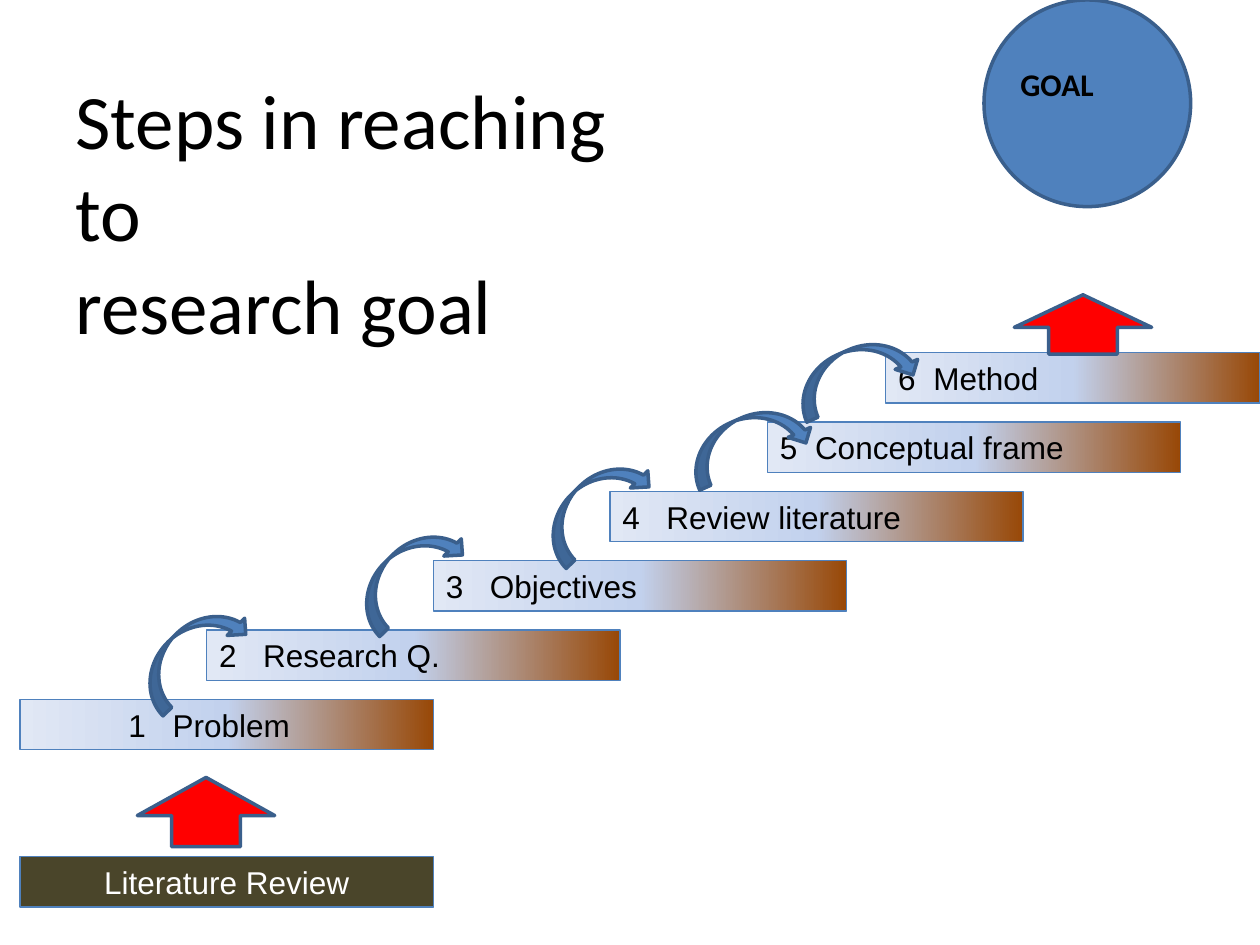
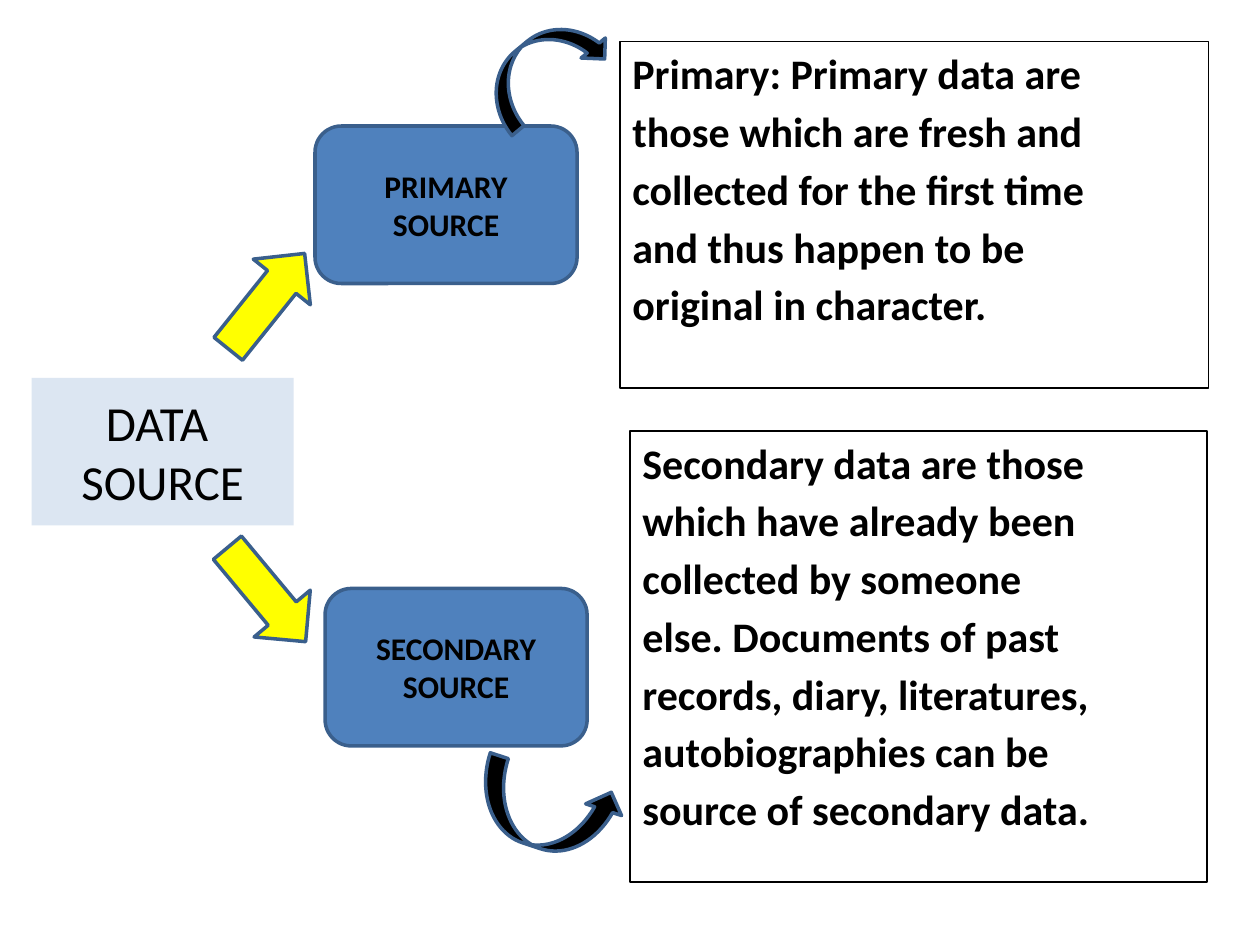
from copy import deepcopy

from lxml import etree
from pptx import Presentation
from pptx.dml.color import RGBColor
from pptx.enum.shapes import MSO_SHAPE
from pptx.enum.text import MSO_ANCHOR, PP_ALIGN
from pptx.oxml.ns import qn
from pptx.util import Inches, Pt

RECT, ROUND, OVAL = MSO_SHAPE.RECTANGLE, MSO_SHAPE.ROUNDED_RECTANGLE, MSO_SHAPE.OVAL
UP, RIGHT = MSO_SHAPE.UP_ARROW, MSO_SHAPE.RIGHT_ARROW
HOP, DIP = MSO_SHAPE.CURVED_DOWN_ARROW, MSO_SHAPE.CURVED_UP_ARROW
LEFT, CENTER = PP_ALIGN.LEFT, PP_ALIGN.CENTER
TOP, MIDDLE = MSO_ANCHOR.TOP, MSO_ANCHOR.MIDDLE

COLORS = {
    "blue": "4F81BD", "edge": "3A5F8C", "pale": "DCE6F2", "olive": "4A452A",
    "red": "FF0000", "yellow": "FFFF00", "black": "000000", "white": "FFFFFF",
    "brown": "984807", "sky": "C2D1ED", "mist": "E1E8F5",
}
RGB = {name: RGBColor.from_string(code) for name, code in COLORS.items()}


def draw(slide, kind, box, fill=None, line="edge", width=2, turn=0):
    shape = slide.shapes.add_shape(kind, *map(Inches, box))
    shape.shadow.inherit = False
    shape.rotation = turn
    if fill:
        shape.fill.solid()
        shape.fill.fore_color.rgb = RGB[fill]
    else:
        shape.fill.background()
    if line:
        shape.line.color.rgb = RGB[line]
        shape.line.width = Pt(width)
    else:
        shape.line.fill.background()
    return shape


def write(shape, text, size=18, font="Calibri", color="black", bold=False,
          align=LEFT, anchor=MIDDLE, before=0):
    frame = shape.text_frame
    frame.word_wrap = True
    frame.vertical_anchor = anchor
    frame.text = text
    for para in frame.paragraphs:
        para.alignment = align
        para.space_before = Pt(before)
        para.font.size = Pt(size)
        para.font.name = font
        para.font.bold = bold
        para.font.color.rgb = RGB[color]


deck = Presentation()
deck.slide_width, deck.slide_height = Inches(10), Inches(7.5)
blank = deck.slide_layouts[6]

# Slide 1: the staircase of research steps
slide = deck.slides.add_slide(blank)

# left, width, text start, tab gap, label
steps = [
    (0.16, 3.28, 0.86, 0.35, "Problem"),
    (1.64, 3.28, 0.1, 0.35, "Research Q."),
    (3.44, 3.28, 0.1, 0.35, "Objectives"),
    (4.84, 3.28, 0.1, 0.35, "Review literature"),
    (6.09, 3.28, 0.1, 0.28, "Conceptual frame"),
    (7.03, 2.97, 0.1, 0.28, "Method"),
]
for i, (left, wide, start, gap, label) in enumerate(steps):
    bar = draw(slide, RECT, (left, 5.55 - 0.55 * i, wide, 0.4), line="blue", width=0.75)
    bar.fill.gradient()
    bar.fill.gradient_angle = 180
    stops = bar._element.xpath(".//a:gsLst")[0]
    stops.insert(1, deepcopy(stops[0]))
    for stop, place, name in zip(bar.fill.gradient_stops, (0, 0.5, 1),
                                 ("brown", "sky", "mist")):
        stop.position = place
        stop.color.rgb = RGB[name]
    write(bar, f"{i + 1}\t{label}", font="Arial")
    bar.text_frame.margin_left = Inches(start)
    props = bar.text_frame.paragraphs[0]._p.get_or_add_pPr()
    tabs = etree.Element(qn("a:tabLst"))
    etree.SubElement(tabs, qn("a:tab"), pos=str(Inches(gap)), algn="l")
    props.find(qn("a:defRPr")).addprevious(tabs)

base = draw(slide, RECT, (0.16, 6.8, 3.28, 0.4), "olive", "blue", 0.75)
write(base, "Literature Review", font="Arial", color="white", align=CENTER)

hops = [(1.01, 4.99, 315.4), (2.73, 4.36, 315.4), (4.21, 3.82, 315.4),
        (5.43, 3.31, 336), (6.28, 2.77, 336)]
for left, top, turn in hops:
    draw(slide, HOP, (left, top, 1.02, 0.39), "blue", turn=turn)

for left, top, high in [(8.05, 2.34, 0.47), (1.09, 6.17, 0.55)]:
    arrow = draw(slide, UP, (left, top, 1.09, high), "red")
    arrow.adjustments[1] = 0.55

draw(slide, OVAL, (7.81, 0, 1.64, 1.64), "blue")
goal = slide.shapes.add_textbox(*map(Inches, (8, 0.47, 1.37, 0.4)))
write(goal, "GOAL", bold=True, anchor=TOP)
title = slide.shapes.add_textbox(*map(Inches, (0.5, 0.3, 5.05, 2.75)))
write(title, "Steps in reaching to \vresearch goal", size=44)

# Slide 2: the two sources of data
slide = deck.slides.add_slide(blank)
title = draw(slide, RECT, (0.25, 3, 2.08, 1.17), "pale", None)
write(title, "DATA \vSOURCE", size=28, align=CENTER)

notes = [
    ((4.92, 0.33, 4.67, 2.75), [
        "Primary: Primary data are",
        "those which are fresh and",
        "collected for the first time",
        "and thus happen to be",
        "original in character.",
    ]),
    ((5, 3.42, 4.58, 3.58), [
        "Secondary data are those",
        "which have already been",
        "collected by someone",
        "else. Documents of past",
        "records, diary, literatures,",
        "autobiographies can be",
        "source of secondary data.",
    ]),
]
for box, lines in notes:
    note = draw(slide, RECT, box, line="black", width=0.75)
    write(note, "\n".join(lines), size=24, bold=True, anchor=TOP, before=4.2)

for left, top, label in [(2.58, 4.67, "SECONDARY SOURCE"), (2.5, 1, "PRIMARY SOURCE")]:
    source = draw(slide, ROUND, (left, top, 2.08, 1.25), "blue")
    write(source, label, bold=True, align=CENTER)

for top, turn in [(2.1, 308.7), (4.43, 50.2)]:
    draw(slide, RIGHT, (1.63, top, 0.97, 0.58), "yellow", turn=turn)
draw(slide, HOP, (3.78, 0.29, 1.08, 0.5), "black", turn=320.4)
draw(slide, DIP, (3.77, 6.14, 1.16, 0.6), "black", turn=18.1)

deck.save("out.pptx")
